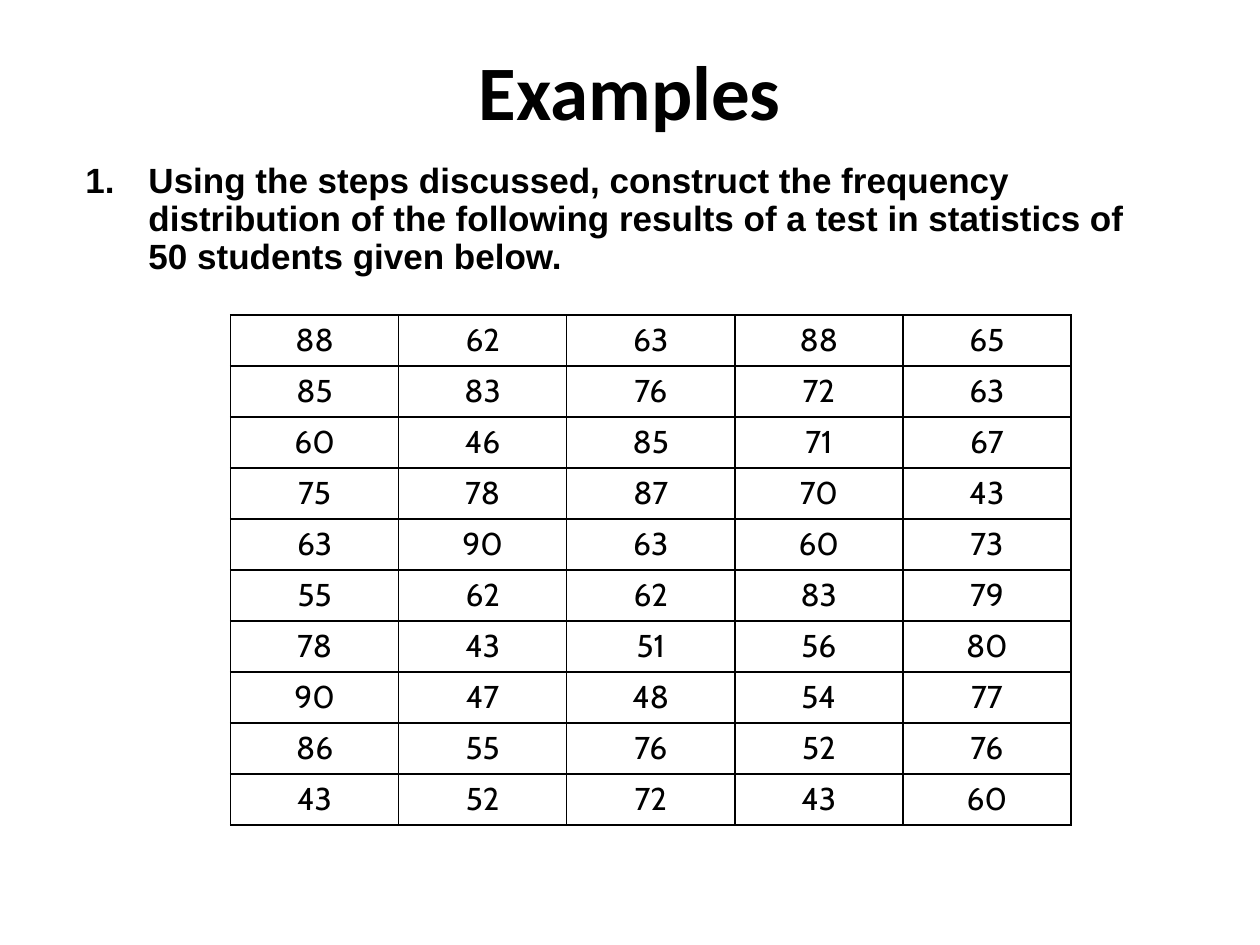
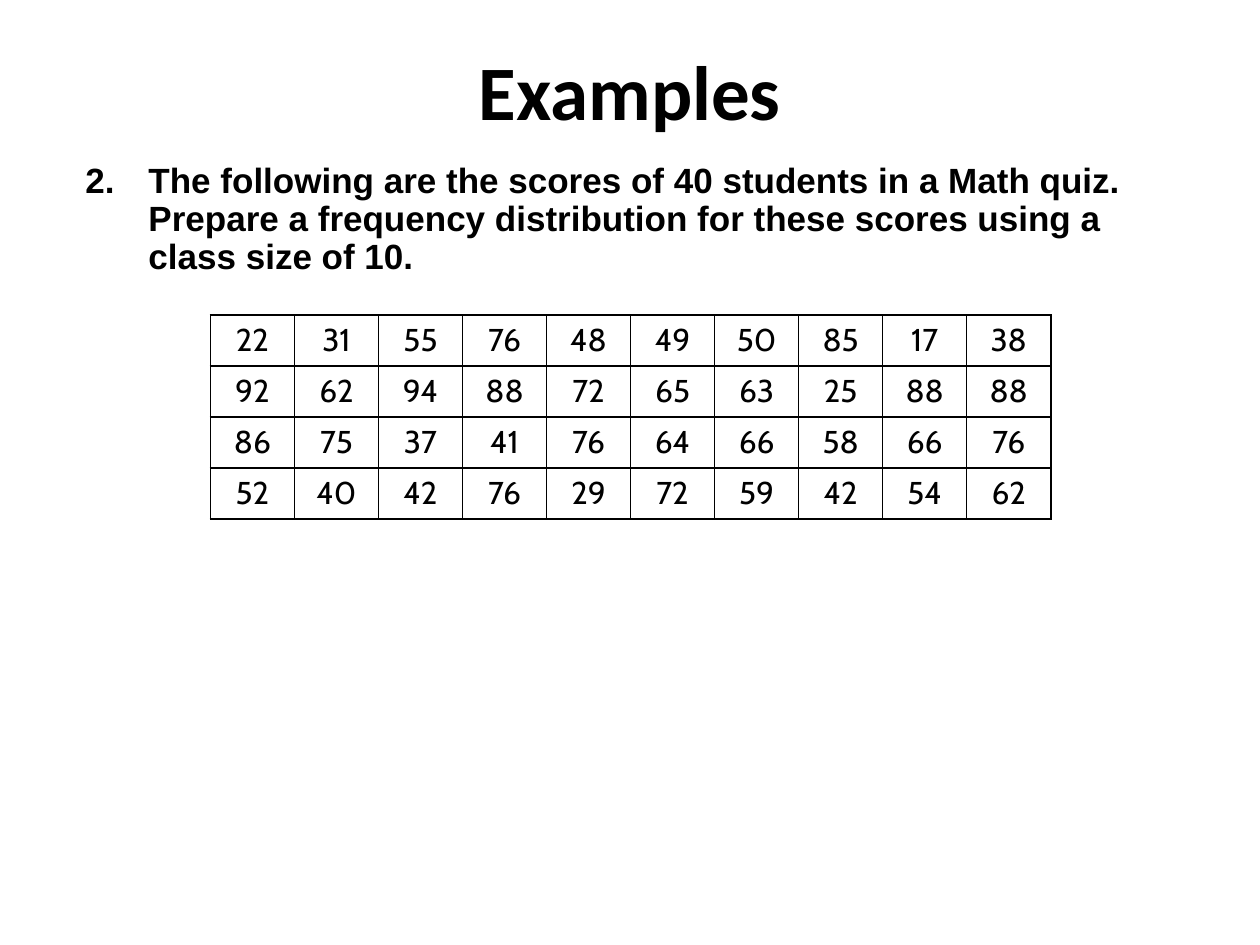
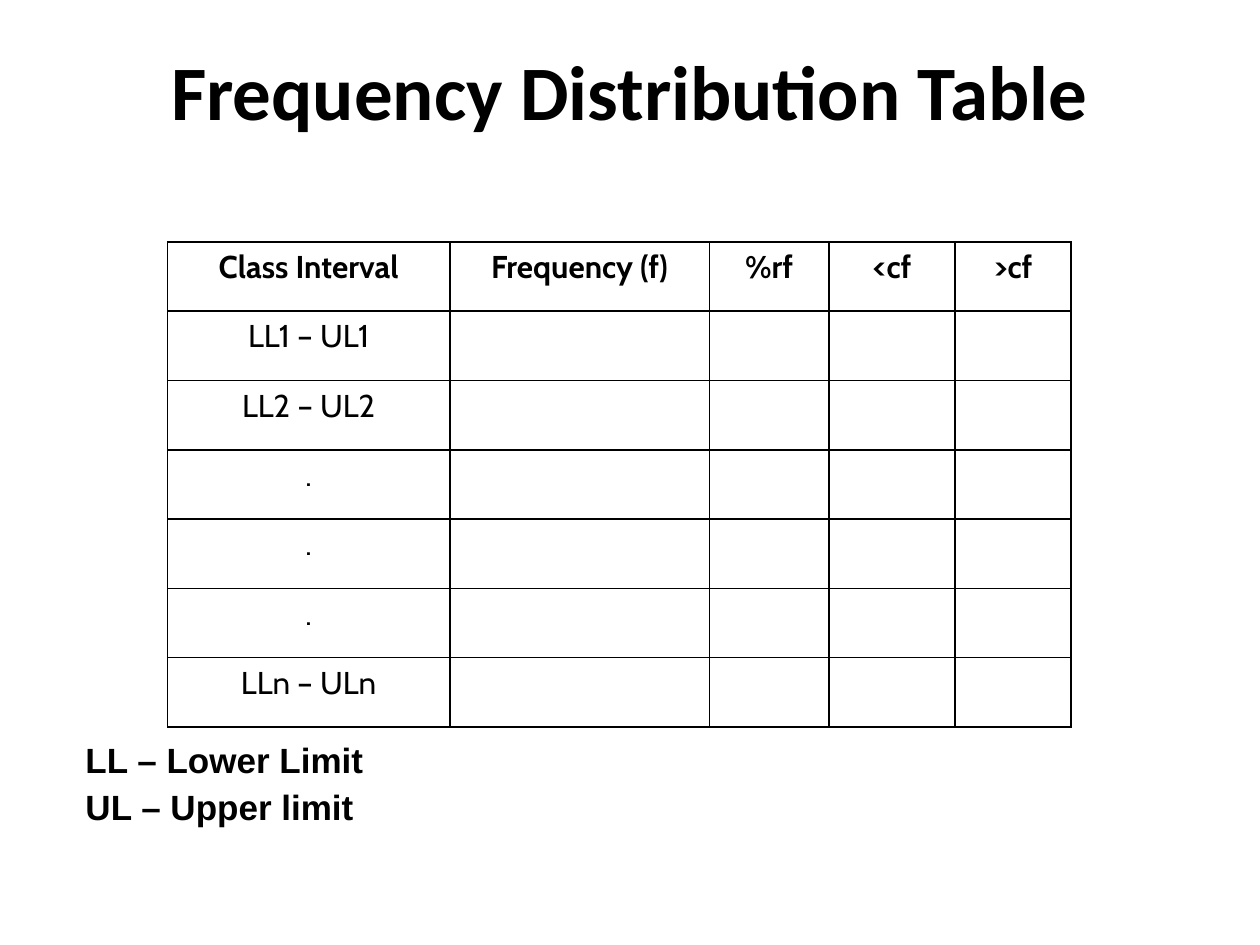
"""Build three slides on frequency distributions: two exercises and the table layout."""
import pptx
import pptx.dml.color
import pptx.enum.text
import pptx.oxml
import pptx.oxml.ns
import pptx.util
from pptx.util import Inches

BLACK = pptx.dml.color.RGBColor(0x00, 0x00, 0x00)
WHITE = pptx.dml.color.RGBColor(0xFF, 0xFF, 0xFF)
CENTER = pptx.enum.text.PP_ALIGN.CENTER
LEFT = pptx.enum.text.PP_ALIGN.LEFT
TOP = pptx.enum.text.MSO_ANCHOR.TOP
BOTTOM = pptx.enum.text.MSO_ANCHOR.BOTTOM

TITLE_FONT = {"name": "Calibri", "size": pptx.util.Pt(44), "bold": True}
BODY_FONT = {"name": "Arial", "size": pptx.util.Pt(20), "bold": True}
CELL_FONT = {"name": "Cabin", "size": pptx.util.Pt(18), "bold": False}
HEADER_FONT = {**CELL_FONT, "bold": True}
TITLE_PARA = {"alignment": CENTER}
BODY_PARA = {"alignment": LEFT, "line_spacing": 0.9, "space_before": pptx.util.Pt(5)}

BORDER = (
    '<a:{side} {ns} w="12700"><a:solidFill><a:srgbClr val="{color}"/></a:solidFill></a:{side}>'
)
NUMBER = '<a:buAutoNum {ns} type="arabicPeriod" startAt="{start}"/>'
NAMESPACE = pptx.oxml.ns.nsdecls("a")

SCORES_OF_50 = """
88 62 63 88 65
85 83 76 72 63
60 46 85 71 67
75 78 87 70 43
63 90 63 60 73
55 62 62 83 79
78 43 51 56 80
90 47 48 54 77
86 55 76 52 76
43 52 72 43 60
"""
SCORES_OF_40 = """
22 31 55 76 48 49 50 85 17 38
92 62 94 88 72 65 63 25 88 88
86 75 37 41 76 64 66 58 66 76
52 40 42 76 29 72 59 42 54 62
"""
INTERVALS = ["LL1 – UL1", "LL2 – UL2", ".", ".", ".", "LLn – ULn"]

SLIDES = [
    {
        "title": "Examples",
        "body": ["Using the steps discussed, construct the frequency distribution of the "
                 "following results of a test in statistics of 50 students given below."],
        "number": 1, "body_top": 1.25, "anchor": TOP,
        "rows": [line.split() for line in SCORES_OF_50.strip().splitlines()],
        "left": 1.83, "top": 2.5, "height": 4.05, "widths": [6.67 / 5] * 5,
        "first_row_font": CELL_FONT,
    },
    {
        "title": "Examples",
        "body": ["The following are the scores of 40 students in a Math quiz. Prepare a "
                 "frequency distribution for these scores using a class size of 10."],
        "number": 2, "body_top": 1.25, "anchor": TOP,
        "rows": [line.split() for line in SCORES_OF_40.strip().splitlines()],
        "left": 1.67, "top": 2.5, "height": 1.62, "widths": [6.67 / 10] * 10,
        "first_row_font": CELL_FONT,
    },
    {
        "title": "Frequency Distribution Table",
        "body": ["LL – Lower Limit", "UL – Upper limit"],
        "number": None, "body_top": 1.92, "anchor": BOTTOM,
        "rows": [["Class Interval", "Frequency (f)", "%rf", "<cf", ">cf"]]
                + [[interval, "", "", "", ""] for interval in INTERVALS],
        "left": 1.33, "top": 1.92, "height": 3.85, "widths": [2.24, 2.06, 0.95, 1, 0.92],
        "first_row_font": HEADER_FONT,
    },
]


def write(para, text, para_format, font_format):
    """Fill one paragraph with text in the given formats."""
    for name, value in para_format.items():
        setattr(para, name, value)
    if text:
        span = para.add_run()
        span.text = text
        span.font.color.rgb = BLACK
    else:
        span = para
    for name, value in font_format.items():
        setattr(span.font, name, value)


def add_text(page, place, lines, para_format, font_format, anchor):
    """Add a wrapped text box with one paragraph per line."""
    box = page.shapes.add_textbox(*[Inches(length) for length in place])
    frame = box.text_frame
    frame.word_wrap = True
    frame.vertical_anchor = anchor
    for index, line in enumerate(lines):
        para = frame.add_paragraph() if index else frame.paragraphs[0]
        write(para, line, para_format, font_format)
    return frame


deck = pptx.Presentation()
deck.slide_width = Inches(10)
deck.slide_height = Inches(7.5)

for content in SLIDES:
    page = deck.slides.add_slide(deck.slide_layouts[6])
    page.background.fill.solid()
    page.background.fill.fore_color.rgb = WHITE

    add_text(page, (0.5, 0.3, 9, 1.25), [content["title"]], TITLE_PARA, TITLE_FONT, TOP)
    body = add_text(page, (0.58, content["body_top"], 8.75, 4.75), content["body"],
                    BODY_PARA, BODY_FONT, content["anchor"])
    body.margin_bottom = Inches(0.1)
    for para in body.paragraphs:
        properties = para._p.get_or_add_pPr()
        properties.set("marL", str(Inches(0.5)))
        properties.set("indent", str(Inches(-0.5)))
        if content["number"]:
            properties.append(pptx.oxml.parse_xml(
                NUMBER.format(ns=NAMESPACE, start=content["number"])))

    rows, widths = content["rows"], content["widths"]
    table = page.shapes.add_table(
        len(rows), len(widths), Inches(content["left"]), Inches(content["top"]),
        Inches(sum(widths)), Inches(content["height"])).table
    table.first_row = False
    table.horz_banding = False
    for column, width in zip(table.columns, widths):
        column.width = Inches(width)
    for row_index, values in enumerate(rows):
        table.rows[row_index].height = Inches(content["height"] / len(rows))
        font_format = CELL_FONT if row_index else content["first_row_font"]
        for column_index, value in enumerate(values):
            cell = table.cell(row_index, column_index)
            cell.fill.background()
            write(cell.text_frame.paragraphs[0], value, TITLE_PARA, font_format)
            for position, side in enumerate(("lnL", "lnR", "lnT", "lnB")):
                cell._tc.tcPr.insert(position, pptx.oxml.parse_xml(
                    BORDER.format(side=side, ns=NAMESPACE, color=BLACK)))

deck.save("out.pptx")
